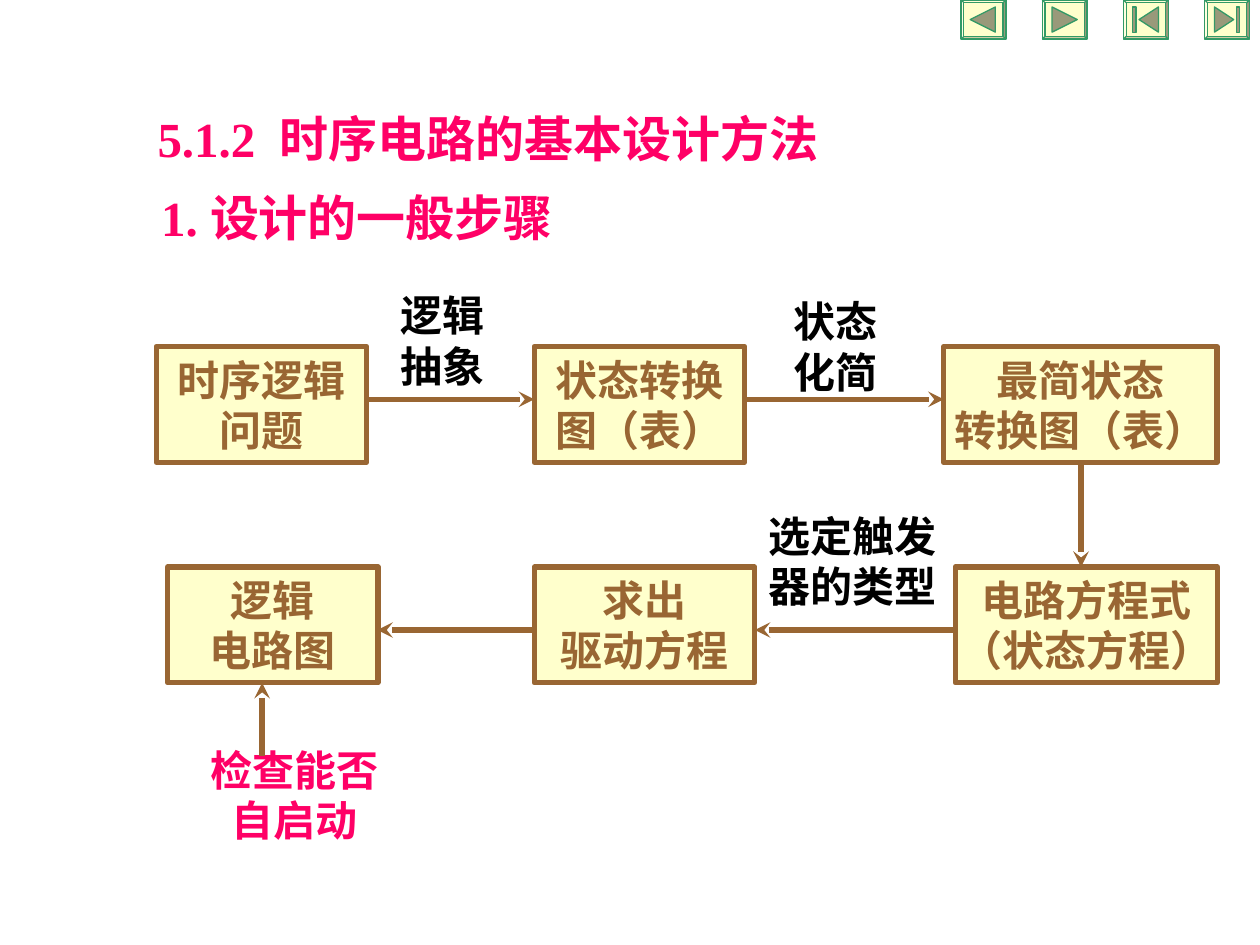
"""Build a slide on the general steps of sequential circuit design."""
import pptx
import pptx.util
import pptx.dml.color
import pptx.enum.shapes
import pptx.enum.text
import pptx.oxml.ns
import lxml.etree

Pt = pptx.util.Pt
RGB = pptx.dml.color.RGBColor
KIND = pptx.enum.shapes.MSO_SHAPE
ALIGN = pptx.enum.text.PP_ALIGN
ANCHOR = pptx.enum.text.MSO_ANCHOR
qn = pptx.oxml.ns.qn

PINK = RGB(0xFF, 0x00, 0x66)
BROWN = RGB(0x99, 0x66, 0x33)
CREAM = RGB(0xFF, 0xFF, 0xCC)
GREEN = RGB(0x33, 0x99, 0x66)
OLIVE = RGB(0x99, 0x99, 0x7A)
BLACK = RGB(0x00, 0x00, 0x00)
SANS = "Noto Sans CJK SC"
SERIF = "Times New Roman"


def write(shape, text, size=24, font=SANS, color=BLACK, align=ALIGN.LEFT,
          anchor=ANCHOR.TOP, wrap=True):
    frame = shape.text_frame
    frame.text = text
    frame.word_wrap = wrap
    frame.vertical_anchor = anchor
    frame.margin_left = frame.margin_right = Pt(7.2)
    frame.margin_top = frame.margin_bottom = Pt(3.6)
    for para in frame.paragraphs:
        para.alignment = align
        for run in para.runs:
            run.font.size = Pt(size)
            run.font.bold = True
            run.font.name = font
            run.font.color.rgb = color
            east = lxml.etree.SubElement(run.font._element, qn("a:ea"))
            east.set("typeface", SANS)


def paint(shape, fill, line, width):
    shape.shadow.inherit = False
    shape.fill.solid()
    shape.fill.fore_color.rgb = fill
    shape.line.color.rgb = line
    shape.line.width = Pt(width)


deck = pptx.Presentation()
deck.slide_width, deck.slide_height = Pt(720), Pt(540)
slide = deck.slides.add_slide(deck.slide_layouts[5])
shapes = slide.shapes

title = shapes.title
title.left, title.top, title.width, title.height = Pt(82.8), Pt(58.3), Pt(448), Pt(41)
write(title, "5.1.2  时序电路的基本设计方法", size=28, font=SERIF, color=PINK)

head = shapes.add_textbox(Pt(85), Pt(103.7), Pt(248.4), Pt(41))
write(head, "1. 设计的一般步骤", size=28, font=SERIF, color=PINK)

steps = [
    ("时序逻辑\n问题", 89.3, 198, 120.2),
    ("状态转换\n图（表）", 305.3, 198, 120.2),
    ("最简状态\n转换图（表）", 539.3, 198, 156.2),
    ("电路方程式\n（状态方程）", 545.8, 324, 149.8),
    ("求出\n驱动方程", 305.3, 324, 126),
    ("逻辑\n电路图", 95.8, 324, 120.2),
]
for text, left, top, width in steps:
    box = shapes.add_shape(KIND.RECTANGLE, Pt(left), Pt(top), Pt(width), Pt(66.2))
    paint(box, CREAM, BROWN, 3)
    write(box, text, color=BROWN, align=ALIGN.CENTER, anchor=ANCHOR.MIDDLE, wrap=False)

notes = [
    ("逻辑\n抽象", 221.8, 162, 77.8, BLACK, ALIGN.LEFT),
    ("状态\n化简", 446.4, 165.6, 73.4, BLACK, ALIGN.LEFT),
    ("选定触发\n器的类型", 432, 288, 110.2, BLACK, ALIGN.LEFT),
    ("检查能否\n自启动", 105.8, 421.9, 124.6, PINK, ALIGN.CENTER),
]
for text, left, top, width, color, align in notes:
    note = shapes.add_textbox(Pt(left), Pt(top), Pt(width), Pt(64.8))
    write(note, text, color=color, align=align)

arrows = [
    (209.5, 228.2, 305.3, 228.2),
    (425.5, 228.2, 539.3, 228.2),
    (617.8, 264.2, 617.8, 324),
    (545.8, 360, 431.3, 360),
    (305.3, 360, 215.6, 360),
    (149.8, 432, 149.8, 390.2),
]
for ends in arrows:
    arrow = shapes.add_connector(
        pptx.enum.shapes.MSO_CONNECTOR.STRAIGHT, *[Pt(end) for end in ends])
    arrow.line.color.rgb = BROWN
    arrow.line.width = Pt(3)
    tip = lxml.etree.SubElement(arrow.line._get_or_add_ln(), qn("a:tailEnd"))
    tip.set("type", "stealth")
    lxml.etree.SubElement(arrow._element.spPr, qn("a:effectLst"))

buttons = [
    (549.2, [[(5.2, 11.2), (19.6, 4), (19.6, 18.4)]]),
    (595.6, [[(5.6, 4), (20, 11.2), (5.6, 18.4)]]),
    (642, [[(8.9, 11.2), (20, 4), (20, 18.4)],
           [(5.2, 4), (7.2, 4), (7.2, 18.4), (5.2, 18.4)]]),
    (688.4, [[(16.6, 11.2), (5.6, 4), (5.6, 18.4)],
             [(18.3, 4), (20.1, 4), (20.1, 18.4), (18.3, 18.4)]]),
]
for left, marks in buttons:
    frame = shapes.add_shape(KIND.BEVEL, Pt(left), Pt(0), Pt(25.6), Pt(22.4))
    frame.adjustments[0] = 0.07
    paint(frame, CREAM, GREEN, 0.75)
    for mark in marks:
        spots = [(Pt(left + x), Pt(y)) for x, y in mark]
        path = shapes.build_freeform(*spots[0])
        path.add_line_segments(spots[1:], close=True)
        paint(path.convert_to_shape(), OLIVE, GREEN, 0.75)

deck.save("out.pptx")
